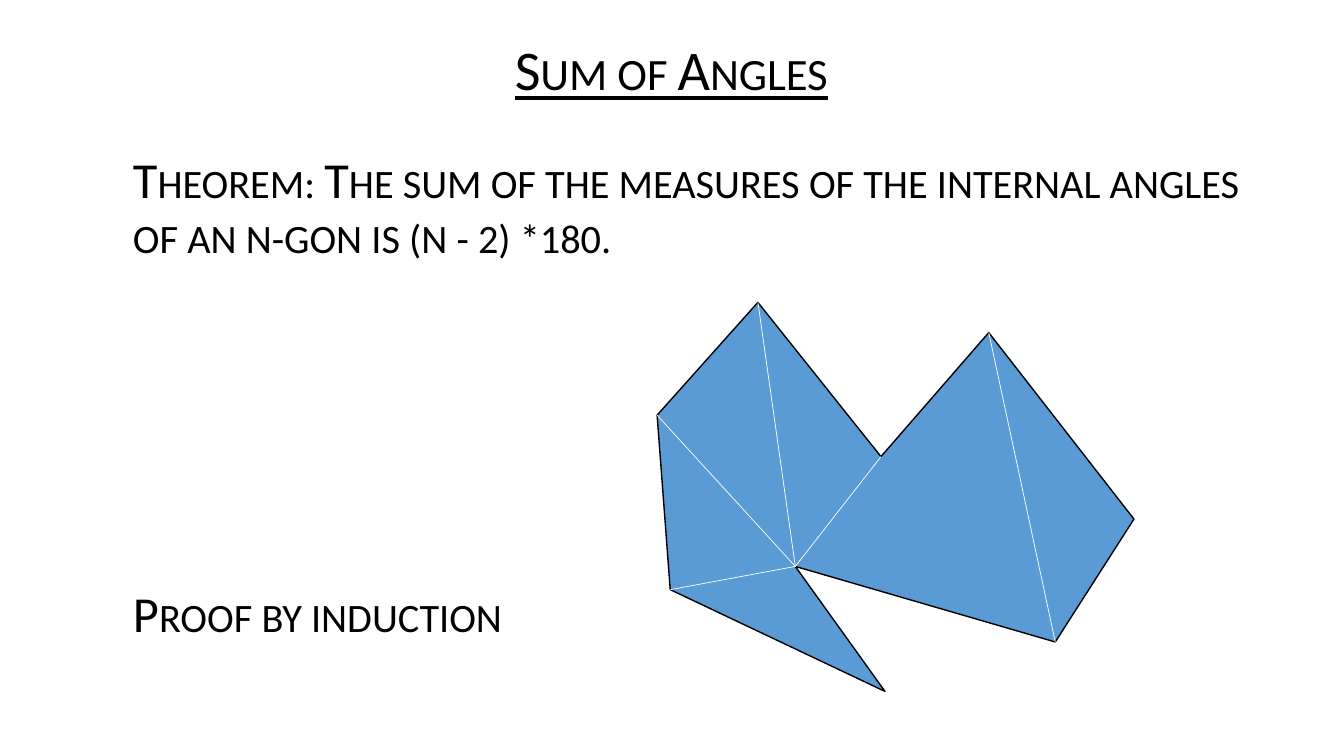
"""Build the slide on the sum of the internal angles of a polygon."""
import dataclasses

import lxml.etree
import pptx
import pptx.dml.color
import pptx.enum.shapes
import pptx.enum.text
import pptx.oxml.ns
import pptx.slide
import pptx.util

Pt = pptx.util.Pt
PP_ALIGN = pptx.enum.text.PP_ALIGN

COLOURS = {"ink": "000000", "polygon": "5B9BD5", "diagonal": "FFFFFF"}
FONT = "Calibri"
INSET = 7.2


@dataclasses.dataclass(frozen=True)
class Vertex:
    x: float
    y: float


@dataclasses.dataclass(frozen=True)
class Diagonal:
    start: str
    end: str


@dataclasses.dataclass(frozen=True)
class Statement:
    text: str
    space_before: float


@dataclasses.dataclass(frozen=True)
class TextBlock:
    left: float
    top: float
    width: float
    height: float
    size: float
    indent: float
    align: PP_ALIGN
    underline: bool
    statements: tuple[Statement, ...]


VERTICES = {
    "west": Vertex(469.4, 296.6),
    "southwest": Vertex(478.8, 421.2),
    "south tip": Vertex(632.2, 493.9),
    "lower notch": Vertex(568.1, 404.6),
    "southeast": Vertex(753.8, 458.6),
    "east": Vertex(810, 370.8),
    "right peak": Vertex(706.3, 237.6),
    "upper notch": Vertex(629.3, 326.2),
    "left peak": Vertex(541.4, 216),
}

DIAGONALS = [
    Diagonal("lower notch", end)
    for end in ("southwest", "west", "left peak", "upper notch")
] + [Diagonal("southeast", "right peak")]

THEOREM = TextBlock(
    51.8, 95, 856.1, 380.2, 36, 36, PP_ALIGN.LEFT, False,
    (
        Statement(
            "Theorem: The sum of the measures of the internal angles "
            "of an n-gon is (n - 2) *180.", 0),
        Statement("Proof by induction", 232),
    ),
)
TITLE = TextBlock(
    125.3, 20.9, 708.5, 61.2, 40, 0, PP_ALIGN.CENTER, True,
    (Statement("Sum of Angles", 10),),
)


def colour(name: str) -> pptx.dml.color.RGBColor:
    """Return the named colour."""
    return pptx.dml.color.RGBColor.from_string(COLOURS[name])


def draw_text(slide: pptx.slide.Slide, block: TextBlock) -> None:
    """Draw a block of small-capital statements."""
    box = slide.shapes.add_textbox(
        Pt(block.left), Pt(block.top), Pt(block.width), Pt(block.height))
    frame = box.text_frame
    frame.word_wrap = True
    frame.vertical_anchor = pptx.enum.text.MSO_ANCHOR.MIDDLE
    frame.margin_left = Pt(INSET + block.indent)
    frame.text = "\n".join(statement.text for statement in block.statements)
    for paragraph, statement in zip(frame.paragraphs, block.statements):
        paragraph.alignment = block.align
        paragraph.line_spacing = 0.9
        paragraph.space_before = Pt(statement.space_before)
        for run in paragraph.runs:
            run.font.name = FONT
            run.font.size = Pt(block.size)
            run.font.underline = block.underline
            run.font.color.rgb = colour("ink")
            run._r.get_or_add_rPr().set("cap", "small")


def draw_polygon(slide: pptx.slide.Slide) -> None:
    """Draw the polygon through all its vertices."""
    first, *others = [(Pt(v.x), Pt(v.y)) for v in VERTICES.values()]
    builder = slide.shapes.build_freeform(*first)
    builder.add_line_segments(others, close=True)
    polygon = builder.convert_to_shape()
    polygon.shadow.inherit = False
    polygon.fill.solid()
    polygon.fill.fore_color.rgb = colour("polygon")
    polygon.line.color.rgb = colour("ink")
    polygon.line.width = Pt(1)


def draw_diagonal(slide: pptx.slide.Slide, diagonal: Diagonal) -> None:
    """Draw one diagonal of the triangulation."""
    start, end = VERTICES[diagonal.start], VERTICES[diagonal.end]
    line = slide.shapes.add_connector(
        pptx.enum.shapes.MSO_CONNECTOR.STRAIGHT,
        Pt(start.x), Pt(start.y), Pt(end.x), Pt(end.y))
    line.line.color.rgb = colour("diagonal")
    line.line.width = Pt(0.5)
    lxml.etree.SubElement(
        line._element.spPr, pptx.oxml.ns.qn("a:effectLst"))


def main() -> None:
    """Build and save the presentation."""
    presentation = pptx.Presentation()
    presentation.slide_width = Pt(960)
    presentation.slide_height = Pt(540)
    slide = presentation.slides.add_slide(presentation.slide_layouts[6])
    for block in (THEOREM, TITLE):
        draw_text(slide, block)
    draw_polygon(slide)
    for diagonal in DIAGONALS:
        draw_diagonal(slide, diagonal)
    presentation.save("out.pptx")


if __name__ == "__main__":
    main()
